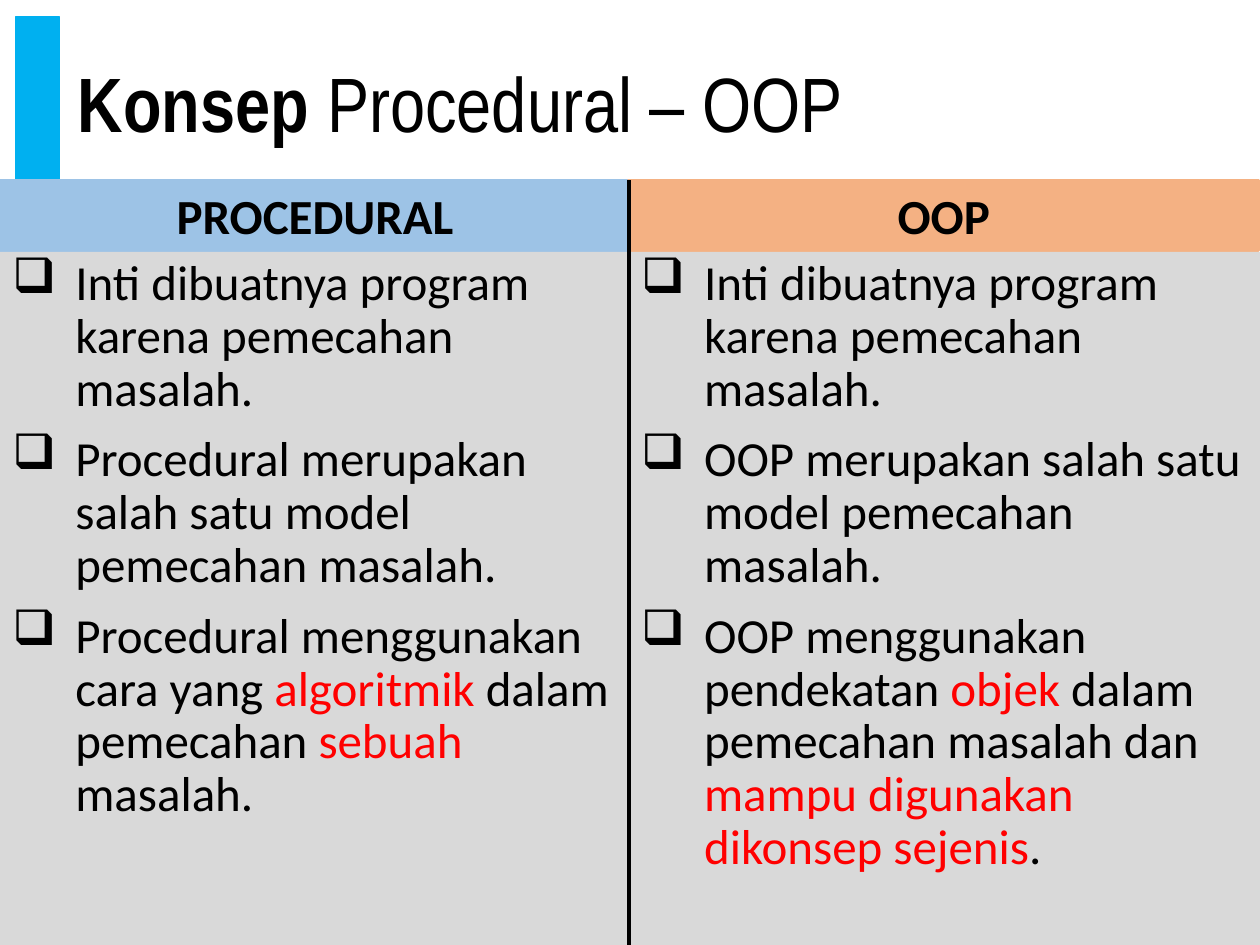
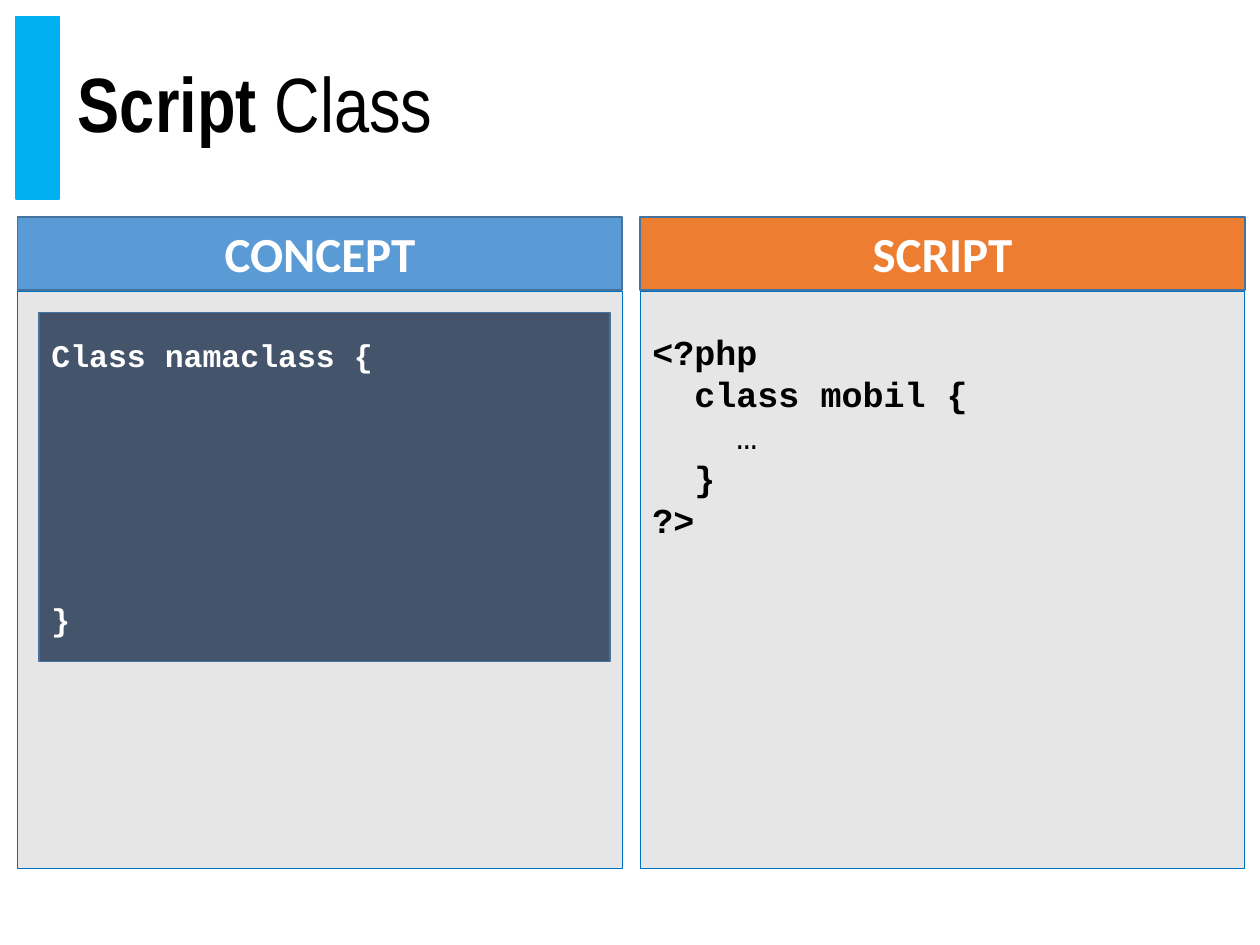
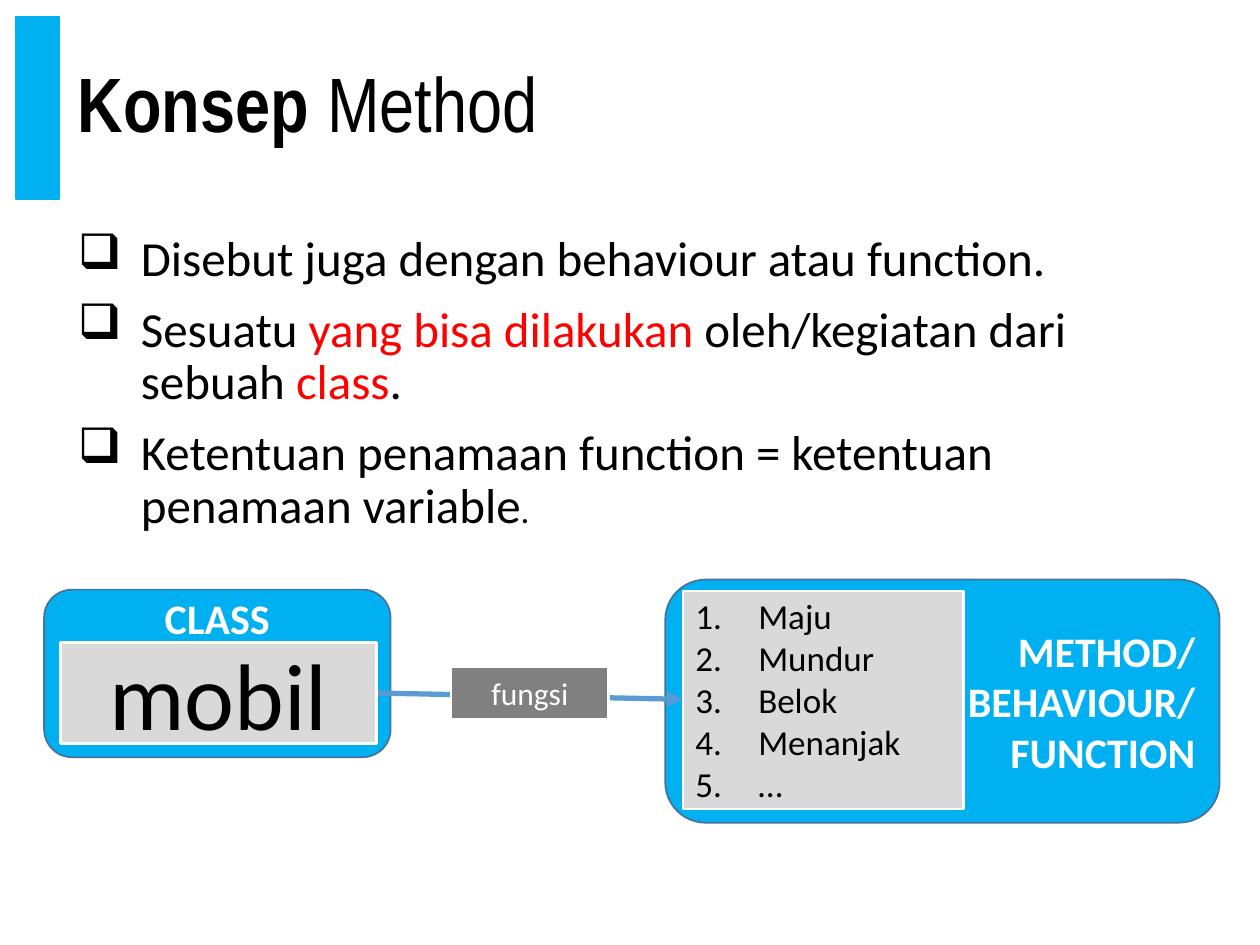
from lxml import etree
from pptx import Presentation
from pptx.dml.color import RGBColor
from pptx.enum.shapes import MSO_CONNECTOR, MSO_SHAPE
from pptx.enum.text import MSO_ANCHOR, PP_ALIGN
from pptx.oxml.ns import qn
from pptx.util import Inches, Pt

RECTANGLE = MSO_SHAPE.RECTANGLE
ROUNDED = MSO_SHAPE.ROUNDED_RECTANGLE
STRAIGHT = MSO_CONNECTOR.STRAIGHT
TOP, MIDDLE = MSO_ANCHOR.TOP, MSO_ANCHOR.MIDDLE
LEFT, CENTER, RIGHT = PP_ALIGN.LEFT, PP_ALIGN.CENTER, PP_ALIGN.RIGHT

COLORS = {
    "black": "000000",
    "white": "FFFFFF",
    "emphasis": "FF0000",
    "accent": "00B0F0",
    "light_blue": "9DC3E6",
    "light_orange": "F4B183",
    "blue": "5B9BD5",
    "orange": "ED7D31",
    "panel": "D9D9D9",
    "code_panel": "E7E6E6",
    "code_panel_line": "0070C0",
    "code_block": "44546A",
    "outline": "43739E",
    "label": "808080",
}
BODY_FONT = "Calibri"
TITLE_FONT = "Arial Narrow"
CODE_FONT = "Courier New"


def rgb(name):
    return RGBColor.from_string(COLORS[name])


def format_run(run, size, color="black", font=BODY_FONT, bold=False):
    run.font.size = Pt(size)
    run.font.name = font
    run.font.bold = bold
    run.font.color.rgb = rgb(color)


def add_box(slide, left, top, width, height, fill, line=None, line_width=1, geometry=RECTANGLE):
    shape = slide.shapes.add_shape(
        geometry, Inches(left), Inches(top), Inches(width), Inches(height)
    )
    shape.shadow.inherit = False
    shape.fill.solid()
    shape.fill.fore_color.rgb = rgb(fill)
    if line:
        shape.line.color.rgb = rgb(line)
        shape.line.width = Pt(line_width)
    else:
        shape.line.fill.background()
    return shape


def add_text_box(slide, left, top, width, height):
    text_box = slide.shapes.add_textbox(
        Inches(left), Inches(top), Inches(width), Inches(height)
    )
    text_box.text_frame.word_wrap = True
    return text_box


def write_lines(shape, lines, size, color="black", font=BODY_FONT, bold=False,
                align=CENTER, anchor=MIDDLE):
    frame = shape.text_frame
    frame.text = "\n".join(lines)
    frame.vertical_anchor = anchor
    for paragraph in frame.paragraphs:
        paragraph.alignment = align
        for run in paragraph.runs:
            format_run(run, size, color, font, bold)
    return frame


def set_marker(paragraph, tag, **attributes):
    properties = paragraph._p.get_or_add_pPr()
    properties.set("marL", str(Inches(0.5)))
    properties.set("indent", str(Inches(-0.5)))
    etree.SubElement(properties, qn(tag), attributes)


def write_bullets(shape, items):
    frame = shape.text_frame
    frame.vertical_anchor = TOP
    for index, item in enumerate(items):
        paragraph = frame.add_paragraph() if index else frame.paragraphs[0]
        paragraph.alignment = LEFT
        paragraph.line_spacing = 0.9
        paragraph.space_before = Pt(10)
        set_marker(paragraph, "a:buChar", char="❑")
        for position, text in enumerate(item.split("|")):
            run = paragraph.add_run()
            run.text = text
            format_run(run, 28, "emphasis" if position % 2 else "black")
    return frame


def add_line(slide, start, end, color, width, arrow=False):
    connector = slide.shapes.add_connector(STRAIGHT, *map(Inches, start + end))
    connector.line.color.rgb = rgb(color)
    connector.line.width = Pt(width)
    if arrow:
        etree.SubElement(connector.line._get_or_add_ln(), qn("a:tailEnd"), type="triangle")
    etree.SubElement(connector._element.spPr, qn("a:effectLst"))


def add_titled_slide(presentation, strong, rest):
    slide = presentation.slides.add_slide(presentation.slide_layouts[6])
    add_box(slide, 0.13, 0.13, 0.34, 1.45, "accent", "accent")
    frame = add_text_box(slide, 0.52, 0.13, 9.1, 1.45).text_frame
    frame.vertical_anchor = MIDDLE
    paragraph = frame.paragraphs[0]
    paragraph.line_spacing = 0.9
    for text, bold in ((strong + " ", True), (rest, False)):
        run = paragraph.add_run()
        run.text = text
        format_run(run, 44, font=TITLE_FONT, bold=bold)
    return slide


def build_comparison(presentation):
    slide = add_titled_slide(presentation, "Konsep", "Procedural – OOP")
    shared_item = "Inti dibuatnya program karena pemecahan masalah."
    columns = [
        (0, "PROCEDURAL", "light_blue", [
            shared_item,
            "Procedural merupakan salah satu model pemecahan masalah.",
            "Procedural menggunakan cara yang |algoritmik |dalam pemecahan |sebuah |masalah.",
        ]),
        (4.99, "OOP", "light_orange", [
            shared_item,
            "OOP merupakan salah satu model pemecahan masalah.",
            "OOP menggunakan pendekatan |objek |dalam pemecahan masalah dan "
            "|mampu digunakan dikonsep sejenis|.",
        ]),
    ]
    for left, heading, color, items in columns:
        header = add_box(slide, left, 1.43, 5, 0.56, color, color, 1.5)
        write_lines(header, [heading], 28, bold=True)
        write_bullets(add_box(slide, left, 2, 5.01, 5.5, "panel"), items)
    add_line(slide, (4.99, 1.43), (4.99, 7.5), "black", 2.25)


def build_class_script(presentation):
    slide = add_titled_slide(presentation, "Script", "Class")
    panels = []
    for left, heading, color in ((0.14, "CONCEPT", "blue"), (5.08, "SCRIPT", "orange")):
        panels.append(add_box(slide, left, 2.31, 4.8, 4.58, "code_panel", "code_panel_line", 0.5))
        header = add_box(slide, left, 1.72, 4.8, 0.58, color, "outline")
        write_lines(header, [heading], 28, "white", bold=True)

    code_lines = ["<?php", "class mobil {", "…", "}", "?>"]
    frame = write_lines(panels[1], code_lines, 20, font=CODE_FONT, bold=True,
                        align=LEFT, anchor=TOP)
    frame.margin_top = Inches(0.31)
    for paragraph, depth in zip(frame.paragraphs, (0, 1, 2, 1, 0)):
        paragraph.line_spacing = Pt(24)
        paragraph._p.get_or_add_pPr().set("marL", str(Pt(24 * depth)))
    frame.paragraphs[2].runs[0].font.bold = False

    block = add_box(slide, 0.31, 2.48, 4.53, 2.77, "code_block", "outline")
    frame = write_lines(block, ["Class namaclass {", "}"], 18, "white", CODE_FONT, True, LEFT)
    for paragraph in frame.paragraphs:
        paragraph.line_spacing = Pt(21.6)
    frame.paragraphs[1].space_before = Pt(6 * 21.6)


def build_method(presentation):
    slide = add_titled_slide(presentation, "Konsep", "Method")
    frame = write_bullets(add_text_box(slide, 0.52, 1.81, 9.1, 5.31), [
        "Disebut juga dengan behaviour atau function.",
        "Sesuatu |yang bisa dilakukan |oleh/kegiatan dari sebuah |class|.",
        "Ketentuan penamaan function = ketentuan penamaan variable",
    ])
    full_stop = frame.paragraphs[2].add_run()
    full_stop.text = "."
    format_run(full_stop, 20)

    method_box = add_box(slide, 5.28, 4.6, 4.4, 1.93, "accent", "outline", geometry=ROUNDED)
    write_lines(method_box, ["METHOD/", "BEHAVIOUR/", "FUNCTION"], 24, "white",
                bold=True, align=RIGHT)
    class_box = add_box(slide, 0.35, 4.68, 2.75, 1.33, "accent", "outline", geometry=ROUNDED)
    frame = write_lines(class_box, ["CLASS"], 24, "white", bold=True, anchor=TOP)
    frame.margin_top = 0
    frame.paragraphs[0].line_spacing = 0.9

    method_list = add_box(slide, 5.42, 4.69, 2.23, 1.73, "panel", "white", 1.5)
    frame = write_lines(method_list, ["Maju", "Mundur", "Belok", "Menanjak", "…"], 20, align=LEFT)
    for paragraph in frame.paragraphs:
        set_marker(paragraph, "a:buAutoNum", type="arabicPeriod")

    add_line(slide, (2.98, 5.5), (5.42, 5.55), "blue", 3, arrow=True)
    function_label = add_box(slide, 3.58, 5.29, 1.25, 0.42, "label", "white", 1.5)
    write_lines(function_label, ["fungsi"], 18, "white")
    class_name = add_box(slide, 0.48, 5.1, 2.51, 0.8, "panel", "white", 1.5)
    write_lines(class_name, ["mobil"], 54)


def main():
    presentation = Presentation()
    presentation.slide_width = Inches(10)
    presentation.slide_height = Inches(7.5)
    build_comparison(presentation)
    build_class_script(presentation)
    build_method(presentation)
    presentation.save("out.pptx")


if __name__ == "__main__":
    main()
